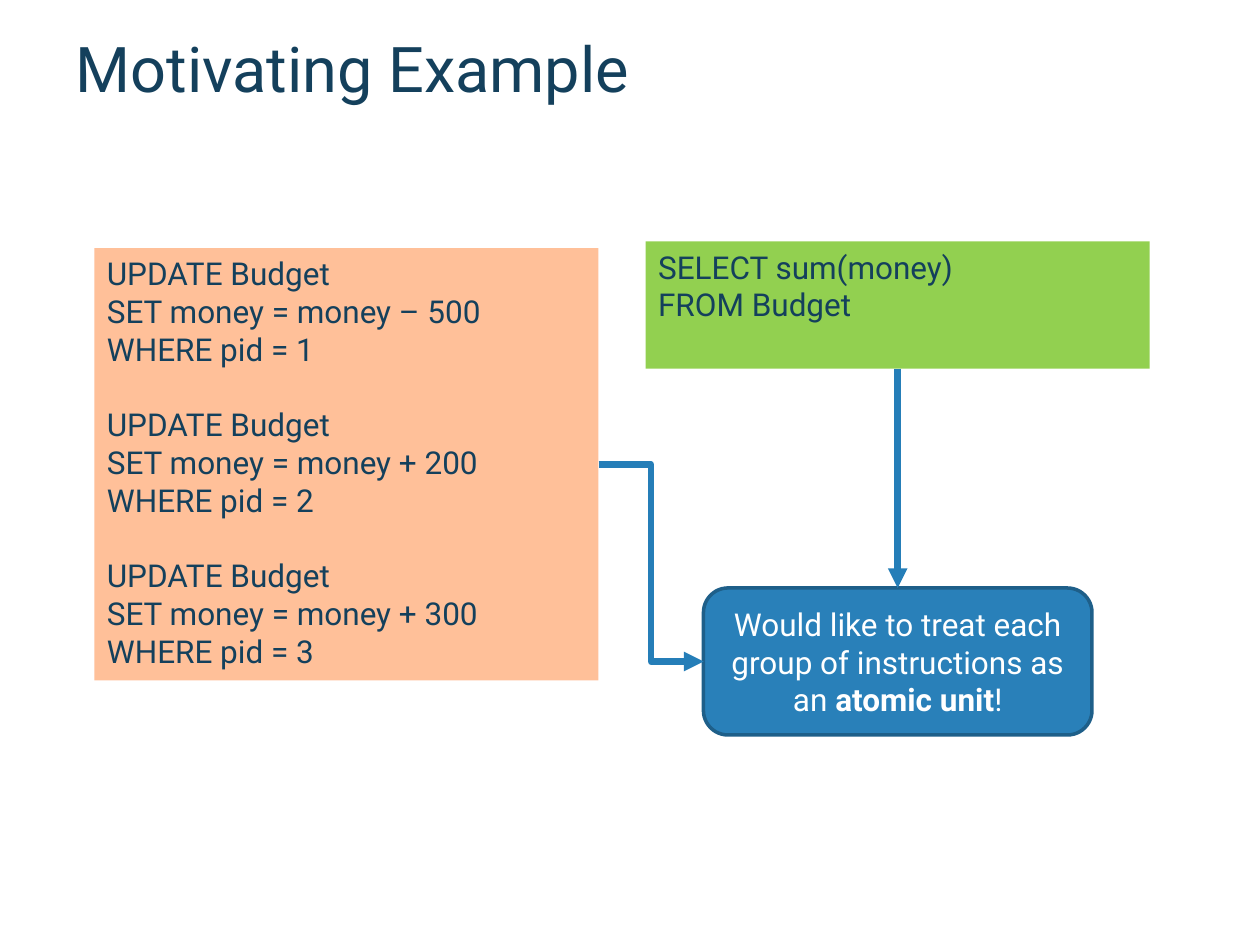
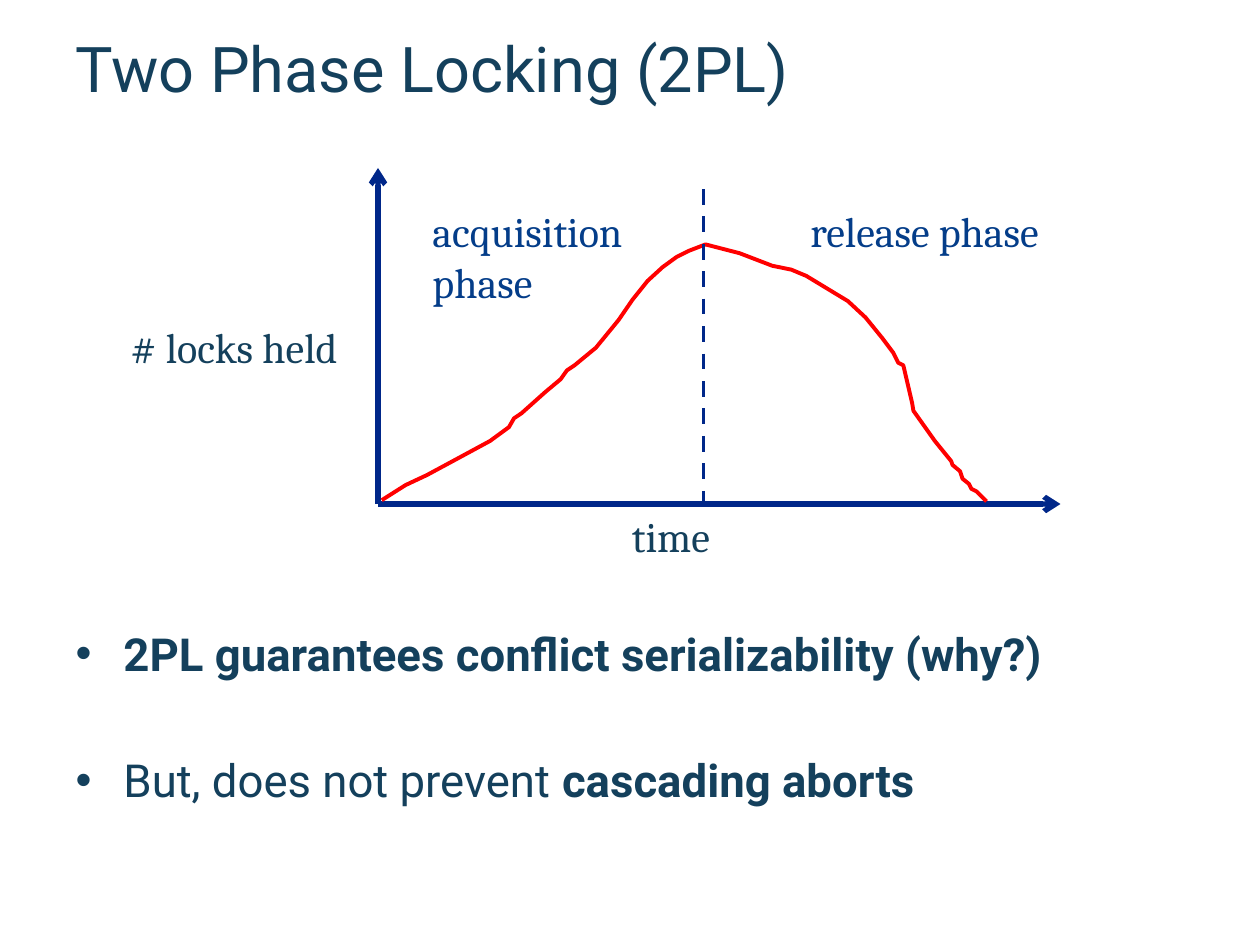
from lxml import etree
from pptx import Presentation, util as u
from pptx.dml.color import RGBColor
from pptx.enum import dml, shapes, text
from pptx.oxml.ns import qn

WIDTH, HEIGHT = u.Inches(10), u.Inches(7.5)
CELL = WIDTH // 120
THOUSANDTH = WIDTH // 1000

INK = RGBColor(0x14, 0x40, 0x5C)
WHITE = RGBColor(0xFF, 0xFF, 0xFF)
PEACH = RGBColor(0xFF, 0xC0, 0x99)
GREEN = RGBColor(0x92, 0xD0, 0x50)
BLUE = RGBColor(0x29, 0x80, 0xB9)
BLUE_EDGE = RGBColor(0x1E, 0x5F, 0x89)
ARROW_BLUE = RGBColor(0x25, 0x7E, 0xB8)
AXIS_BLUE = RGBColor(0x00, 0x27, 0x89)
PHASE_BLUE = RGBColor(0x04, 0x3D, 0x89)
RED = RGBColor(0xFF, 0x00, 0x00)

SANS, SERIF = "Roboto", "Cambria"

UPDATES = [("– 500", 1), ("+ 200", 2), ("+ 300", 3)]

LOCKS_HELD = [
    (303, 397), (322, 385), (339, 377), (365, 363), (389, 350), (404, 339),
    (408, 332), (414, 328), (433, 311), (445, 301), (450, 294), (456, 290),
    (473, 276), (491, 254), (502, 238), (514, 223), (526, 212), (537, 204),
    (547, 199), (560, 194), (587, 201), (613, 211), (628, 214), (640, 219),
    (673, 239), (687, 252), (700, 268), (709, 280), (713, 288), (717, 290),
    (724, 320), (725, 326), (742, 350), (755, 366), (756, 369), (762, 374),
    (764, 380), (769, 384), (771, 388), (775, 390), (783, 398),
]


def cells(*counts):
    """Turn grid counts into lengths."""
    return [u.Emu(round(count * CELL)) for count in counts]


def place(shape, area):
    """Set a shape's left, top, width and height in grid cells."""
    shape.left, shape.top, shape.width, shape.height = cells(*area)


def write(para, spans, size, color, font=SANS):
    """Add (words, bold) spans to a paragraph."""
    for words, bold in spans:
        span = para.add_run()
        span.text = words
        span.font.name, span.font.size, span.font.bold = font, u.Pt(size), bold
        span.font.color.rgb = color


def next_para(frame, index):
    """Return the first paragraph of a frame, or a new one after it."""
    return frame.paragraphs[0] if index == 0 else frame.add_paragraph()


def add_page(deck, layout, title):
    """Add a page with the shared title style."""
    page = deck.slides.add_slide(deck.slide_layouts.get_by_name(layout))
    heading = page.shapes.title
    place(heading, (6, 3, 108, 6.84))
    frame = heading.text_frame
    frame.vertical_anchor = text.MSO_ANCHOR.MIDDLE
    frame.auto_size = text.MSO_AUTO_SIZE.NONE
    frame.paragraphs[0].alignment = text.PP_ALIGN.LEFT
    write(frame.paragraphs[0], [(title, False)], 36, INK)
    return page


def add_panel(page, kind, area, fill, edge=None):
    """Add a filled shape with an optional edge."""
    box = page.shapes.add_shape(kind, *cells(*area))
    box.shadow.inherit = False
    box.fill.solid()
    box.fill.fore_color.rgb = fill
    if edge is None:
        box.line.fill.background()
    else:
        box.line.color.rgb, box.line.width = edge, u.Pt(2)
    return box


def add_code(page, area, fill, statements):
    """Add a box of statements, each a list of lines, with a gap between."""
    box = add_panel(page, shapes.MSO_SHAPE.RECTANGLE, area, fill)
    frame = box.text_frame
    frame.vertical_anchor = text.MSO_ANCHOR.TOP
    lines = [(line, row) for lines in statements for row, line in enumerate(lines)]
    for index, (line, row) in enumerate(lines):
        para = next_para(frame, index)
        para.alignment = text.PP_ALIGN.LEFT
        if index and row == 0:
            para.space_before = u.Pt(21.5)
        write(para, [(line, False)], 18, INK)
    return box


def add_callout(page, area, spans):
    """Add a rounded box with centred white words."""
    box = add_panel(page, shapes.MSO_SHAPE.ROUNDED_RECTANGLE, area, BLUE, BLUE_EDGE)
    box.text_frame.vertical_anchor = text.MSO_ANCHOR.MIDDLE
    para = box.text_frame.paragraphs[0]
    para.alignment = text.PP_ALIGN.CENTER
    write(para, spans, 18, WHITE)
    return box


def add_line(page, color, weight, ends=(0, 0, 0, 0), head=None, dashed=False,
             kind=shapes.MSO_CONNECTOR.STRAIGHT):
    """Add a line between two grid points, with an optional arrowhead."""
    line = page.shapes.add_connector(kind, *cells(*ends))
    line.line.color.rgb, line.line.width = color, u.Pt(weight)
    if dashed:
        line.line.dash_style = dml.MSO_LINE.DASH
    if head:
        etree.SubElement(line.line._get_or_add_ln(), qn("a:tailEnd"), type=head)
    etree.SubElement(line._element.spPr, qn("a:effectLst"))
    return line


def join(page, source, source_side, target, target_side, kind):
    """Join the sides of two boxes with an arrow."""
    arrow = add_line(page, ARROW_BLUE, 3.75, head="triangle", kind=kind)
    arrow.begin_connect(source, source_side)
    arrow.end_connect(target, target_side)


def add_label(page, area, words, color=INK, wrap=False):
    """Add a serif label to the graph."""
    box = page.shapes.add_textbox(*cells(*area))
    box.text_frame.word_wrap = wrap
    write(box.text_frame.paragraphs[0], [(words, False)], 24, color, SERIF)


def add_curve(page, points, color, weight):
    """Draw an open outline through points in thousandths of the width."""
    builder = page.shapes.build_freeform(*points[0], scale=THOUSANDTH)
    builder.add_line_segments(points[1:], close=False)
    curve = builder.convert_to_shape()
    curve.shadow.inherit = False
    curve.fill.background()
    curve.line.color.rgb, curve.line.width = color, u.Pt(weight)


def fill_bullets(body, area, items):
    """Place the body placeholder and write its bulleted items."""
    place(body, area)
    frame = body.text_frame
    frame.auto_size = text.MSO_AUTO_SIZE.NONE
    for index, spans in enumerate(items):
        para = next_para(frame, index)
        props = para._p.get_or_add_pPr()
        indent = u.Inches(0.38)
        props.set("marL", str(indent))
        props.set("indent", str(-indent))
        etree.SubElement(props, qn("a:buChar"), char="•")
        para.space_before = u.Pt(41 if index else 0)
        write(para, spans, 26, INK)


def build_example(deck):
    """Build the page on grouping instructions."""
    page = add_page(deck, "Title Only", "Motivating Example")
    updates = add_code(page, (9, 23.64, 48, 41.16), PEACH, [
        ["UPDATE Budget", f"SET money = money {change}", f"WHERE pid = {pid}"]
        for change, pid in UPDATES])
    query = add_code(page, (61.5, 23, 48, 12.12), GREEN,
                     [["SELECT sum(money)", "FROM Budget"]])
    callout = add_callout(page, (67, 56, 37, 14), [
        ("Would like to treat each group of instructions as an ", False),
        ("atomic unit", True), ("!", False)])
    join(page, updates, 3, callout, 1, shapes.MSO_CONNECTOR.ELBOW)
    join(page, query, 2, callout, 0, shapes.MSO_CONNECTOR.STRAIGHT)


def build_locking(deck):
    """Build the page with the lock graph."""
    page = add_page(deck, "Title and Content", "Two Phase Locking (2PL)")
    fill_bullets(page.placeholders[1], (6, 59, 104, 24), [
        [("2PL guarantees conflict serializability (why?)", True)],
        [("But, does not prevent ", False), ("cascading aborts", True)]])
    for tip in [(101, 48), (36, 16)]:
        add_line(page, AXIS_BLUE, 3, (36, 48, *tip), head="arrow")
    add_label(page, (59, 48, 10.5, 6), "time")
    add_label(page, (11.25, 30, 23.75, 6), "# locks held")
    add_curve(page, LOCKS_HELD, RED, 2.25)
    add_label(page, (76, 19, 26, 6), "release phase", PHASE_BLUE)
    add_label(page, (40, 19, 26, 10.8), "acquisition phase", PHASE_BLUE, wrap=True)
    add_line(page, AXIS_BLUE, 2.25, (67, 18, 67, 48), dashed=True)


def main():
    """Build and save the deck."""
    deck = Presentation()
    deck.slide_width, deck.slide_height = WIDTH, HEIGHT
    build_example(deck)
    build_locking(deck)
    deck.save("out.pptx")


if __name__ == "__main__":
    main()
